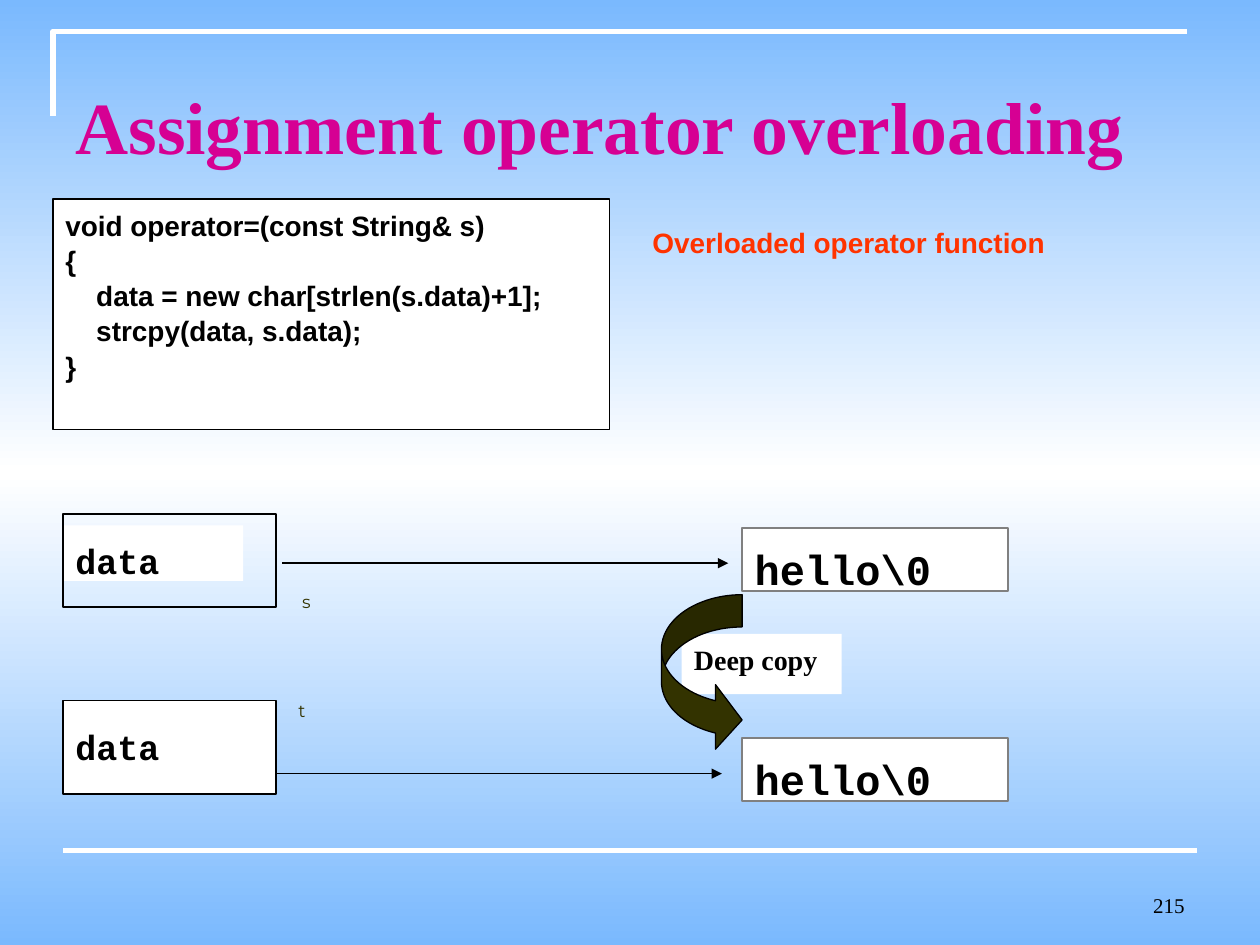
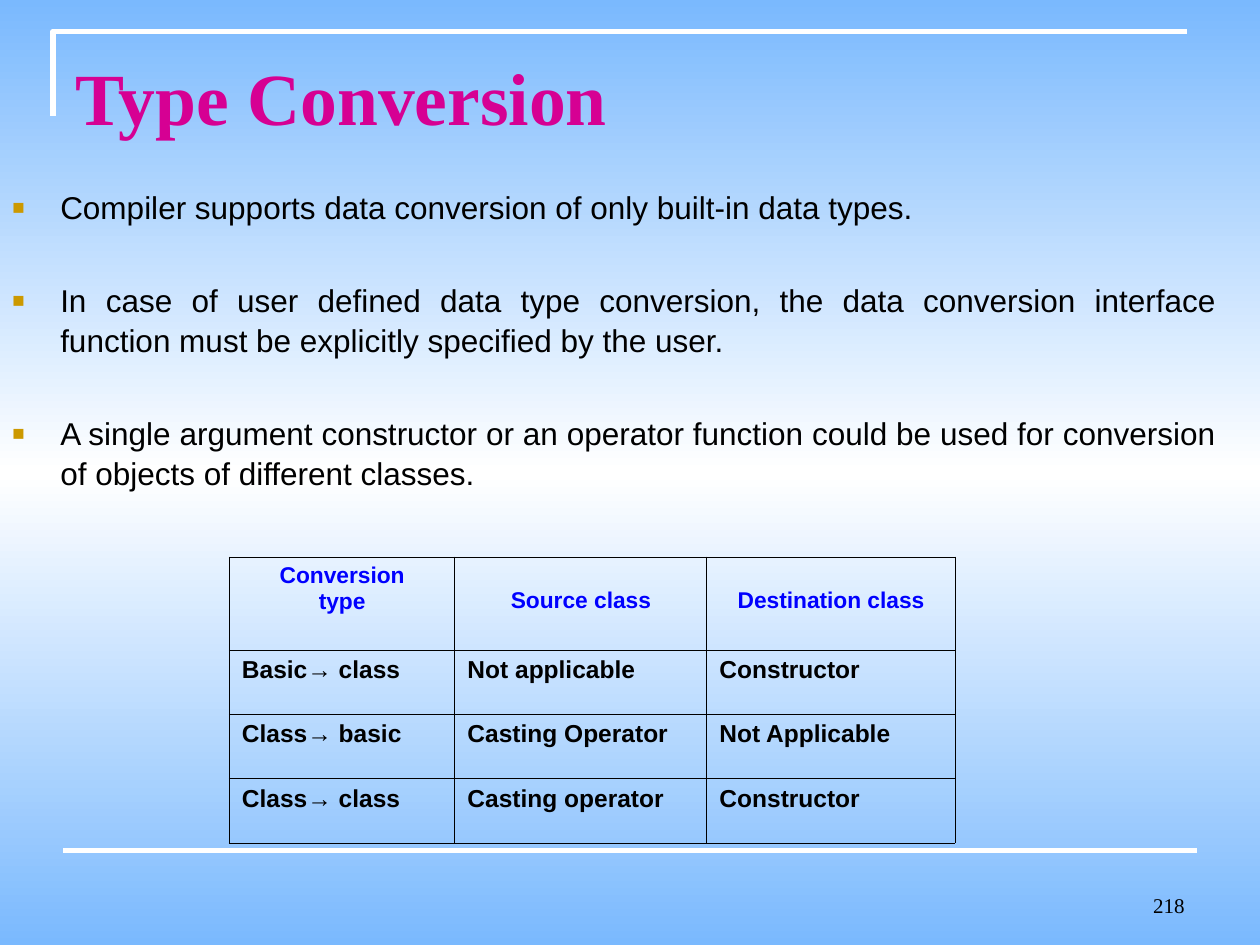
from copy import deepcopy
from dataclasses import dataclass

from lxml.etree import SubElement
from pptx import Presentation
from pptx.dml.color import RGBColor
from pptx.enum.shapes import MSO_CONNECTOR, MSO_SHAPE
from pptx.enum.text import MSO_ANCHOR, PP_ALIGN
from pptx.oxml import parse_xml
from pptx.oxml.ns import nsdecls, qn
from pptx.util import Inches, Pt


@dataclass(frozen=True)
class Theme:
    sky: str = "7AB9FE"
    white: str = "FFFFFF"
    black: str = "000000"
    pink: str = "D60093"
    red: str = "FF3300"
    blue: str = "0000FF"
    gold: str = "CC9900"
    olive: str = "333300"
    gray: str = "808080"
    sans: str = "Arial"
    serif: str = "Times New Roman"
    mono: str = "Courier New"
    label: str = "Montserrat"
    title: int = 42
    value: int = 24
    field: int = 20
    body: int = 18
    code: int = 16
    cell: int = 14
    head: int = 13
    page: int = 12
    small: int = 10


T = Theme()
DROP = {T.sans: 0.05, T.serif: 0.1, T.mono: 0.22, T.label: 0}


def color(code):
    return RGBColor.from_string(code)


def write(frame, text, size=T.code, font=T.sans, ink=T.black, bold=True, align=PP_ALIGN.LEFT,
          anchor=MSO_ANCHOR.TOP, wrap=True, lead=None, gap=0, mark=None):
    frame.word_wrap = wrap
    frame.vertical_anchor = anchor
    for index, line in enumerate(text.split("\n")):
        para = frame.paragraphs[0] if index == 0 else frame.add_paragraph()
        if mark:
            bullet(para, mark)
        para.alignment = align
        if lead:
            para.line_spacing = lead
        if gap and index:
            para.space_before = Pt(gap)
        run = para.add_run()
        run.text = line
        run.font.size = Pt(size)
        run.font.name = font
        run.font.bold = bold
        run.font.color.rgb = color(ink)


def bullet(para, mark):
    props = para._p.get_or_add_pPr()
    props.set("marL", str(Inches(0.38)))
    props.set("indent", str(Inches(-0.38)))
    tint = SubElement(props, qn("a:buClr"))
    SubElement(tint, qn("a:srgbClr"), val=T.gold)
    SubElement(props, qn("a:buSzPct"), val="65000")
    SubElement(props, qn("a:buFont"), typeface=T.sans)
    SubElement(props, qn("a:buChar"), char=mark)


def pad(frame, size, font):
    frame.margin_top = Inches(round(0.05 + DROP[font] * size / 72, 2))


def label(slide, area, text, size=T.code, font=T.sans, **style):
    box = slide.shapes.add_textbox(*map(Inches, area))
    pad(box.text_frame, size, font)
    write(box.text_frame, text, size=size, font=font, **style)


def outline(shape, ink, width):
    if ink:
        shape.line.color.rgb = color(ink)
        shape.line.width = Pt(width)
    else:
        shape.line.fill.background()


def block(slide, area, text="", fill=T.white, edge=None, width=1, kind=MSO_SHAPE.RECTANGLE,
          size=T.code, font=T.sans, **style):
    shape = slide.shapes.add_shape(kind, *map(Inches, area))
    shape.shadow.inherit = False
    outline(shape, edge, width)
    if fill:
        shape.fill.solid()
        shape.fill.fore_color.rgb = color(fill)
    else:
        shape.fill.background()
    if text:
        pad(shape.text_frame, size, font)
        write(shape.text_frame, text, size=size, font=font, **style)
    return shape


def rule(slide, start, end, ink=T.black, width=1, arrow=False):
    line = slide.shapes.add_connector(MSO_CONNECTOR.STRAIGHT, *map(Inches, start + end))
    outline(line, ink, width)
    props = line.element.spPr
    if arrow:
        SubElement(props.find(qn("a:ln")), qn("a:tailEnd"), type="triangle", w="med", len="med")
    SubElement(props, qn("a:effectLst"))


def paint(slide):
    fill = slide.background.fill
    fill.gradient()
    fill.gradient_angle = 90
    stops = slide.element.find(".//" + qn("a:gsLst"))
    stops.insert(1, deepcopy(stops[0]))
    for stop, place, ink in zip(fill.gradient_stops, (0, 0.5, 1), (T.sky, T.white, T.sky)):
        stop.position = place
        stop.color.rgb = color(ink)


def corner(slide):
    path = slide.shapes.build_freeform(Inches(0.42), Inches(0.92))
    path.add_line_segments([(Inches(0.42), Inches(0.25)), (Inches(9.42), Inches(0.25))], close=False)
    shape = path.convert_to_shape()
    shape.shadow.inherit = False
    shape.fill.background()
    outline(shape, T.white, 3)


def start(deck, title, top, page):
    slide = deck.slides.add_slide(deck.slide_layouts[6])
    paint(slide)
    corner(slide)
    rule(slide, (0.5, 6.75), (9.5, 6.75), ink=T.white, width=3)
    label(slide, (7.17, 6.83, 2.33, 0.5), page, size=T.page, font=T.serif, bold=False,
          align=PP_ALIGN.RIGHT, anchor=MSO_ANCHOR.BOTTOM)
    label(slide, (0.5, top, 9, 0.8), title, size=T.title, font=T.serif, ink=T.pink)
    return slide


def border(frame):
    for props in frame.element.iter(qn("a:tcPr")):
        for index, side in enumerate("LRTB"):
            props.insert(index, parse_xml(
                f'<a:ln{side} {nsdecls("a")} w="{Pt(0.45)}"><a:solidFill>'
                f'<a:srgbClr val="{T.black}"/></a:solidFill></a:ln{side}>'))


def grid(slide, left, top, widths, heights, rows):
    frame = slide.shapes.add_table(len(rows), len(widths), Inches(left), Inches(top),
                                   Inches(sum(widths)), Inches(sum(heights)))
    table = frame.table
    table.first_row = table.horz_banding = False
    for column, width in zip(table.columns, widths):
        column.width = Inches(width)
    for row, height, texts in zip(table.rows, heights, rows):
        row.height = Inches(height)
        for cell, text in zip(row.cells, texts):
            cell.fill.background()
            if texts is rows[0]:
                write(cell.text_frame, text, size=T.head, ink=T.blue, align=PP_ALIGN.CENTER)
                if "\n" not in text:
                    cell.vertical_anchor = MSO_ANCHOR.MIDDLE
                    cell.margin_bottom = Inches(0.1)
            else:
                write(cell.text_frame, text, size=T.cell)
    border(frame)


def assign(deck):
    slide = start(deck, "Assignment operator overloading", 0.53, "215")
    code = ("void operator=(const String& s)\n{\n    data = new char[strlen(s.data)+1];\n"
            "    strcpy(data, s.data);\n}")
    block(slide, (0.42, 1.58, 4.42, 1.83), code, edge=T.black, width=0.75, lead=1.05)
    label(slide, (5.08, 1.73, 3.58, 0.37), "Overloaded operator function", ink=T.red,
          anchor=MSO_ANCHOR.MIDDLE)
    block(slide, (5.41, 5.03, 1.27, 0.48), "Deep copy", font=T.serif)
    block(slide, (0.5, 4.17, 1.43, 0.44), "data", size=T.field, font=T.mono)
    block(slide, (0.5, 4.08, 1.69, 0.74), fill=None, edge=T.black)
    block(slide, (0.5, 5.56, 1.69, 0.74), edge=T.black)
    label(slide, (0.5, 5.65, 1.9, 0.44), "data", size=T.field, font=T.mono)
    for top in (4.19, 5.86):
        block(slide, (5.89, top, 2.11, 0.5), "hello\\0", edge=T.gray, size=T.value, font=T.mono)
    for left, top in ((2.24, 4.47), (2.19, 6.14)):
        rule(slide, (left, top), (left + 3.54, top), arrow=True)
    for name, left, top in (("s", 2.3, 4.64), ("t", 2.27, 5.51)):
        label(slide, (left, top, 0.26, 0.32), name, size=T.small, font=T.label, ink=T.olive,
              bold=False, wrap=False)
    curve = block(slide, (5.25, 4.72, 0.64, 1.25), fill=T.olive, edge=T.black, width=0.75,
                  kind=MSO_SHAPE.CURVED_RIGHT_ARROW)
    for index, share in enumerate((0.4, 0.8, 0.33)):
        curve.adjustments[index] = share


def convert(deck):
    slide = start(deck, "Type Conversion", 0.3, "218")
    points = (
        "Compiler supports data conversion of only built-in data types.",
        "In case of user defined data type conversion, the data conversion interface function "
        "must be explicitly specified by the user.",
        "A single argument constructor or an operator function could be used for conversion "
        "of objects of different classes.",
    )
    label(slide, (0, 1.42, 9.75, 3), "\n".join(points), size=T.body, bold=False,
          align=PP_ALIGN.JUSTIFY, lead=1.05, gap=30.5, mark="■")
    rows = (
        ("Conversion\ntype", "Source class", "Destination class"),
        ("Basic→ class", "Not applicable", "Constructor"),
        ("Class→ basic", "Casting Operator", "Not Applicable"),
        ("Class→ class", "Casting operator", "Constructor"),
    )
    grid(slide, 1.82, 4.42, (1.79, 2, 1.97), (0.74,) + (0.51,) * 3, rows)


def main():
    """Build the two slides on operator overloading and type conversion."""
    deck = Presentation()
    deck.slide_width = Inches(10)
    deck.slide_height = Inches(7.5)
    assign(deck)
    convert(deck)
    deck.save("out.pptx")


if __name__ == "__main__":
    main()
